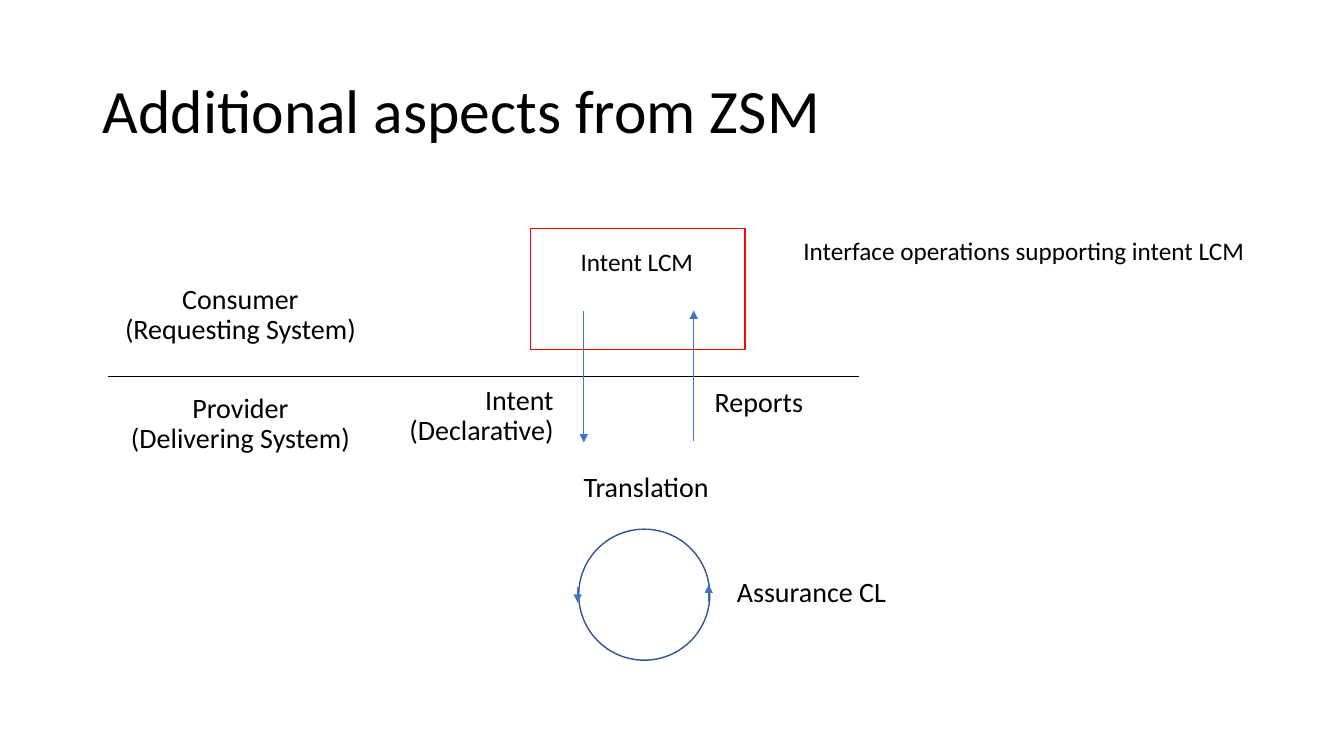
from dataclasses import dataclass

from lxml.etree import SubElement
from pptx import Presentation
from pptx.dml.color import RGBColor
from pptx.enum.shapes import MSO_CONNECTOR, MSO_SHAPE
from pptx.enum.text import MSO_ANCHOR, MSO_AUTO_SIZE, PP_ALIGN
from pptx.oxml.ns import qn
from pptx.slide import Slide
from pptx.text.text import TextFrame
from pptx.util import Inches, Pt

BLACK = RGBColor(0x00, 0x00, 0x00)
RED = RGBColor(0xFF, 0x00, 0x00)
BLUE = RGBColor(0x44, 0x72, 0xC4)
DARK_BLUE = RGBColor(0x32, 0x54, 0x91)
FONT = "Calibri"
TITLE_ONLY_LAYOUT = 5


@dataclass(frozen=True)
class Label:
    text: str
    left: float
    top: float
    width: float
    height: float = 0.58
    size: int = 20
    alignment: PP_ALIGN = PP_ALIGN.LEFT
    line_spacing: float = 0.9
    wrap: bool = True


@dataclass(frozen=True)
class Line:
    start: tuple[float, float]
    end: tuple[float, float]
    color: RGBColor = BLUE
    arrow: bool = True


@dataclass(frozen=True)
class Outline:
    kind: MSO_SHAPE
    left: float
    top: float
    width: float
    height: float
    color: RGBColor


OUTLINES = [
    Outline(MSO_SHAPE.OVAL, 5.74, 5.25, 1.3, 1.3, DARK_BLUE),
    Outline(MSO_SHAPE.RECTANGLE, 5.26, 2.27, 2.13, 1.2, RED),
]

LINES = [
    Line((1.07, 3.73), (8.52, 3.73), BLACK, arrow=False),
    Line((5.79, 3.09), (5.79, 4.39)),
    Line((6.88, 4.38), (6.88, 3.08)),
    Line((5.73, 5.82), (5.73, 5.98)),
    Line((7.03, 5.97), (7.03, 5.8)),
]

LABELS = [
    Label("Assurance CL", 7.21, 5.69, 1.97),
    Label("Translation", 5.69, 4.65, 1.76),
    Label("Intent (Declarative)", 3.83, 3.78, 1.76, alignment=PP_ALIGN.RIGHT),
    Label("Reports", 6.99, 3.8, 1.76),
    Label("Consumer\n(Requesting System)", 1.07, 2.78, 2.63, alignment=PP_ALIGN.CENTER),
    Label("Provider\n(Delivering System)", 1.07, 3.86, 2.63, alignment=PP_ALIGN.CENTER),
    Label("Intent LCM", 5.66, 2.39, 1.33, 0.4, 18, line_spacing=1.0, wrap=False),
    Label("Interface operations supporting intent LCM", 7.87, 2.29, 4.63, 0.4, 18,
          line_spacing=1.0, wrap=False),
]


def write_text(text_frame: TextFrame, text: str, size: int,
               alignment: PP_ALIGN, line_spacing: float) -> None:
    text_frame.text = text
    for paragraph in text_frame.paragraphs:
        paragraph.alignment = alignment
        paragraph.line_spacing = line_spacing
        for run in paragraph.runs:
            run.font.name = FONT
            run.font.size = Pt(size)
            run.font.color.rgb = BLACK


def add_title(slide: Slide, text: str) -> None:
    title = slide.shapes.title
    title.left, title.top = Inches(0.92), Inches(0.4)
    title.width, title.height = Inches(11.5), Inches(1.45)
    title.text_frame.auto_size = MSO_AUTO_SIZE.NONE
    title.text_frame.vertical_anchor = MSO_ANCHOR.MIDDLE
    write_text(title.text_frame, text, 44, PP_ALIGN.LEFT, 0.9)


def add_label(slide: Slide, label: Label) -> None:
    box = slide.shapes.add_textbox(Inches(label.left), Inches(label.top),
                                   Inches(label.width), Inches(label.height))
    box.text_frame.word_wrap = label.wrap
    if not label.wrap:
        box.text_frame.auto_size = MSO_AUTO_SIZE.SHAPE_TO_FIT_TEXT
    write_text(box.text_frame, label.text, label.size, label.alignment, label.line_spacing)


def add_line(slide: Slide, line: Line) -> None:
    connector = slide.shapes.add_connector(
        MSO_CONNECTOR.STRAIGHT, *map(Inches, line.start), *map(Inches, line.end))
    connector.line.color.rgb = line.color
    connector.line.width = Pt(0.5)
    if line.arrow:
        SubElement(connector.line._get_or_add_ln(), qn("a:tailEnd"), type="triangle")
    SubElement(connector._element.spPr, qn("a:effectLst"))


def add_outline(slide: Slide, outline: Outline) -> None:
    shape = slide.shapes.add_shape(
        outline.kind, Inches(outline.left), Inches(outline.top),
        Inches(outline.width), Inches(outline.height))
    shape.shadow.inherit = False
    shape.fill.background()
    shape.line.color.rgb = outline.color
    shape.line.width = Pt(1)


def main() -> None:
    presentation = Presentation()
    presentation.slide_width = Inches(13.33)
    presentation.slide_height = Inches(7.5)
    slide = presentation.slides.add_slide(presentation.slide_layouts[TITLE_ONLY_LAYOUT])

    add_title(slide, "Additional aspects from ZSM")
    for outline in OUTLINES:
        add_outline(slide, outline)
    for line in LINES:
        add_line(slide, line)
    for label in LABELS:
        add_label(slide, label)

    presentation.save("out.pptx")


if __name__ == "__main__":
    main()
